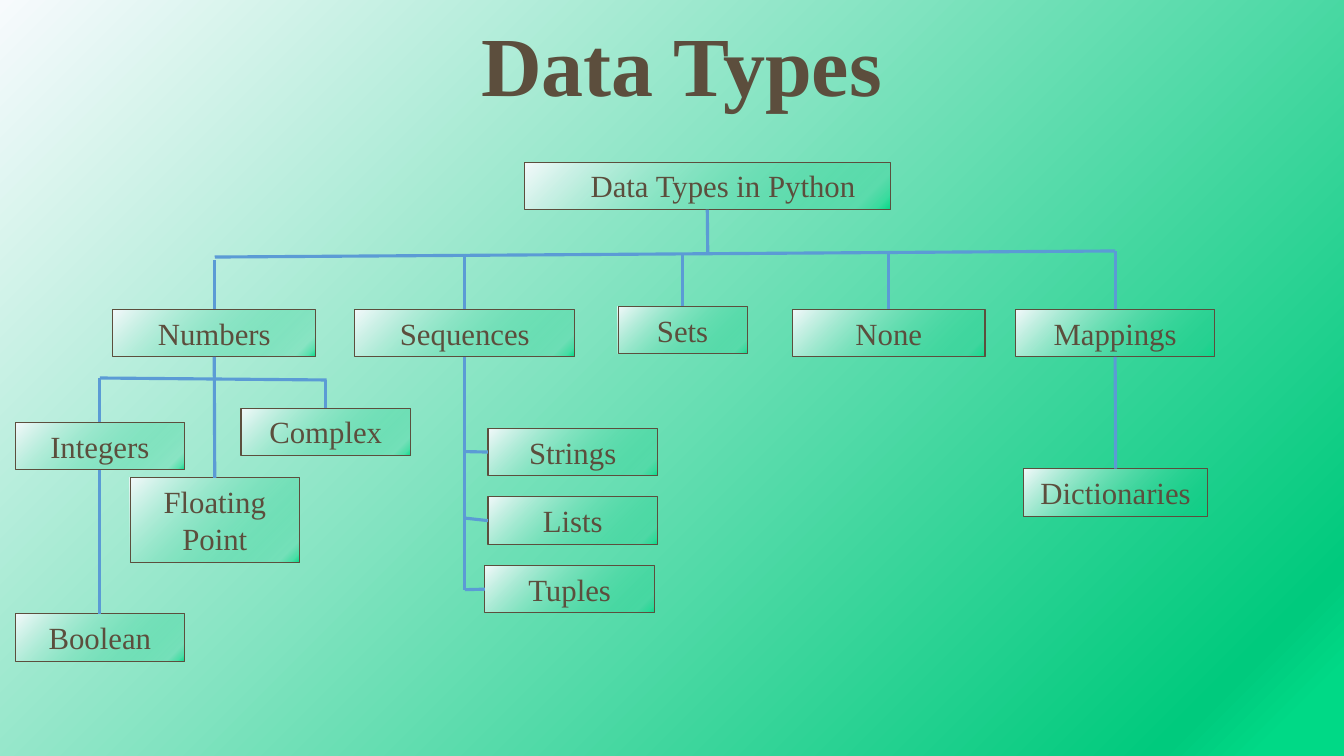
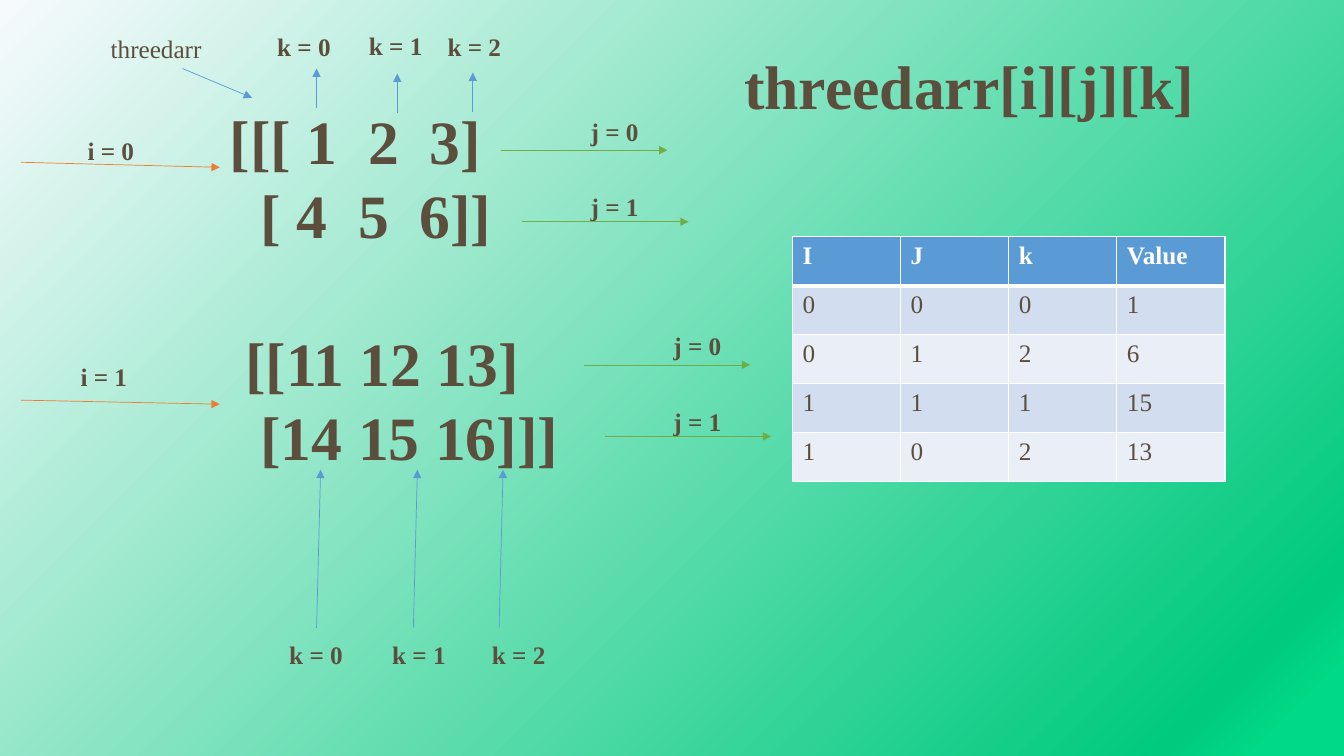
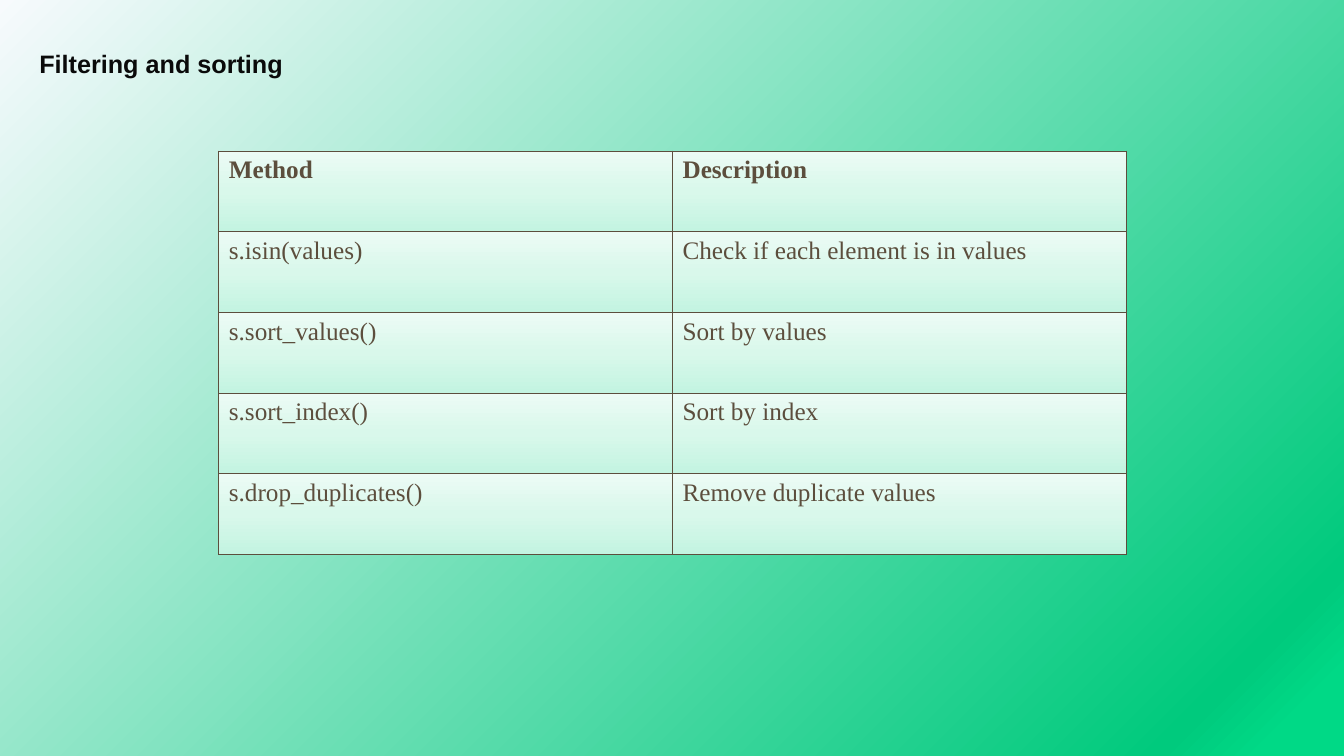
from lxml import etree
from pptx import Presentation
from pptx import util as u
from pptx.dml.color import RGBColor
from pptx.enum import shapes, text
from pptx.oxml import ns

BROWN = RGBColor(0x5C, 0x4E, 0x3D)
INK = RGBColor(0x0A, 0x0A, 0x0A)
WHITE = RGBColor(0xFF, 0xFF, 0xFF)
BLUE = RGBColor(0x5B, 0x9B, 0xD5)
ORANGE = RGBColor(0xED, 0x7D, 0x31)
GREEN = RGBColor(0x70, 0xAD, 0x47)
BAND_DARK = RGBColor(0xD2, 0xDE, 0xEF)
BAND_LIGHT = RGBColor(0xEA, 0xEF, 0xF7)
PALE = RGBColor(0xF7, 0xFA, 0xFD)
EMERALD = RGBColor(0x00, 0xCA, 0x7D)
MINT = RGBColor(0x00, 0xD9, 0x86)
CELL_LOW = RGBColor(0xC3, 0xF4, 0xE1)
CELL_MID = RGBColor(0xD9, 0xF8, 0xEB)
CELL_HIGH = RGBColor(0xEC, 0xFB, 0xF5)

MEADOW = (315, [(0, PALE, 100), (91, EMERALD, 16), (96, MINT, 45), (100, MINT, 100)])
CELL_FADE = (90, [(0, CELL_LOW, 100), (50, CELL_MID, 100), (100, CELL_HIGH, 100)])

SERIF = "Times New Roman"
SANS = "Arial"
LEFT, CENTER = text.PP_ALIGN.LEFT, text.PP_ALIGN.CENTER
TOP, LEFT_SIDE, BOTTOM = 0, 1, 2


def child(parent, tag, **attributes):
    return etree.SubElement(parent, ns.qn(tag), **attributes)


def write(frame, content, size=18, color=BROWN, bold=False, font=SERIF, align=LEFT, spacing=None):
    for index, line in enumerate(content.split("\n")):
        paragraph = frame.paragraphs[0] if index == 0 else frame.add_paragraph()
        paragraph.alignment = align
        if spacing:
            paragraph.line_spacing = spacing
        run = paragraph.add_run()
        run.text = line
        run.font.size = u.Pt(size)
        run.font.name = font
        run.font.bold = bold
        run.font.color.rgb = color


def paint(fill, owner, look):
    if isinstance(look, RGBColor):
        fill.solid()
        fill.fore_color.rgb = look
        return
    angle, stops = look
    fill.gradient()
    fill.gradient_angle = angle
    stop_list = next(owner.iter(ns.qn("a:gsLst")))
    for old in list(stop_list):
        stop_list.remove(old)
    for position, color, alpha in stops:
        stop = child(stop_list, "a:gs", pos=str(position * 1000))
        tint = child(stop, "a:srgbClr", val=str(color))
        if alpha < 100:
            child(tint, "a:alpha", val=str(alpha * 1000))


def set_borders(cell, color, widths):
    properties = cell._tc.get_or_add_tcPr()
    for index, (side, width) in enumerate(zip("LRTB", widths)):
        edge = etree.Element(ns.qn("a:ln" + side), w=str(u.Pt(width)))
        child(child(edge, "a:solidFill"), "a:srgbClr", val=str(color))
        properties.insert(index, edge)


class Deck:
    def __init__(self):
        self.prs = Presentation()
        self.prs.slide_width = u.Inches(13.33)
        self.prs.slide_height = u.Inches(7.5)
        master = self.prs.slide_master
        paint(master.background.fill, master.element, MEADOW)
        self.slide = None

    def title(self, content, box, anchor=text.MSO_ANCHOR.TOP, wrap=True, **style):
        self.slide = self.prs.slides.add_slide(self.prs.slide_layouts[5])
        heading = self.slide.shapes.title
        heading.left, heading.top, heading.width, heading.height = map(u.Inches, box)
        frame = heading.text_frame
        frame.auto_size = text.MSO_AUTO_SIZE.NONE
        frame.word_wrap = wrap
        frame.vertical_anchor = anchor
        write(frame, content, bold=True, **style)

    def label(self, content, left, top, width=0.79, height=0.4, **style):
        box = self.slide.shapes.add_textbox(*map(u.Inches, (left, top, width, height)))
        box.text_frame.word_wrap = True
        box.text_frame.auto_size = text.MSO_AUTO_SIZE.SHAPE_TO_FIT_TEXT
        write(box.text_frame, content, **style)
        return box.text_frame

    def node(self, content, left, top, width=1.68, height=0.47, inset=0.1):
        box = self.slide.shapes.add_shape(
            shapes.MSO_SHAPE.RECTANGLE, *map(u.Inches, (left, top, width, height)))
        box.shadow.inherit = False
        paint(box.fill, box.element, MEADOW)
        box.line.color.rgb = BROWN
        box.line.width = u.Pt(0.75)
        frame = box.text_frame
        frame.word_wrap = True
        frame.auto_size = text.MSO_AUTO_SIZE.SHAPE_TO_FIT_TEXT
        frame.vertical_anchor = text.MSO_ANCHOR.TOP
        frame.margin_left = u.Inches(inset)
        write(frame, content, size=22, align=CENTER)
        return box

    def wire(self, start, end, color=BLUE, width=2.25, start_side=None, end_side=None, arrow=False):
        line = self.slide.shapes.add_connector(shapes.MSO_CONNECTOR.STRAIGHT, 0, 0, 0, 0)
        if start_side is None:
            line.begin_x, line.begin_y = map(u.Inches, start)
        else:
            line.begin_connect(start, start_side)
        if end_side is None:
            line.end_x, line.end_y = map(u.Inches, end)
        else:
            line.end_connect(end, end_side)
        line.line.color.rgb = color
        line.line.width = u.Pt(width)
        properties = line.element.spPr
        if arrow:
            child(properties.find(ns.qn("a:ln")), "a:tailEnd", type="triangle")
        child(properties, "a:effectLst")

    def arrow(self, start, end, color=BLUE):
        self.wire(start, end, color=color, width=0.5, arrow=True)

    def drop(self, top, node):
        center = (node.left + node.width / 2) / u.Inches(1)
        self.wire((center, top), node, end_side=TOP)

    def table(self, rows, box, header, bands, border, header_color=BROWN, header_rule=1):
        grid = self.slide.shapes.add_table(
            len(rows), len(rows[0]), *map(u.Inches, box)).table
        grid.horz_banding = False
        for row, values in enumerate(rows):
            look = header if row == 0 else bands[(row - 1) % len(bands)]
            above = header_rule if row == 1 else 1
            below = header_rule if row == 0 else 1
            for column, value in enumerate(values):
                cell = grid.cell(row, column)
                write(cell.text_frame, value, bold=row == 0,
                      color=header_color if row == 0 else BROWN)
                paint(cell.fill, cell._tc, look)
                set_borders(cell, border, (1, 1, above, below))


def data_types(deck):
    deck.title("Data Types", (1.76, 0.18, 10, 1.01), anchor=text.MSO_ANCHOR.BOTTOM,
               size=60, align=CENTER, spacing=0.9)
    root = deck.node("Data Types in Python", 5.2, 1.61, 3.63, inset=0.41)
    numbers = deck.node("Numbers", 1.12, 3.07, 2.01)
    sequences = deck.node("Sequences", 3.52, 3.07, 2.18)
    sets = deck.node("Sets", 6.13, 3.04, 1.28)
    none = deck.node("None", 7.86, 3.07, 1.91)
    mappings = deck.node("Mappings", 10.07, 3.07, 1.98)
    integers = deck.node("Integers", 0.15, 4.19)
    boolean = deck.node("Boolean", 0.15, 6.09)
    floating = deck.node("Floating Point", 1.29, 4.74, height=0.84)
    complex_numbers = deck.node("Complex", 2.39, 4.05)
    strings = deck.node("Strings", 4.84, 4.25)
    lists = deck.node("Lists", 4.84, 4.93)
    tuples = deck.node("Tuples", 4.81, 5.61)
    dictionaries = deck.node("Dictionaries", 10.15, 4.65, 1.83)

    deck.wire(root, (7.02, 2.51), start_side=BOTTOM)
    deck.wire((2.13, 2.55), (11.06, 2.49))
    deck.wire((0.99, 3.75), (3.24, 3.77))
    for top, node in ((2.58, numbers), (2.52, sequences), (2.52, sets), (2.49, none),
                      (2.49, mappings), (3.75, integers), (3.77, complex_numbers)):
        deck.drop(top, node)
    for parent, kind in ((numbers, floating), (integers, boolean), (mappings, dictionaries)):
        deck.wire(parent, kind, start_side=BOTTOM, end_side=TOP)
    deck.wire(sequences, (4.61, 5.85), start_side=BOTTOM)
    for level, kind in ((4.48, strings), (5.14, lists), (5.85, tuples)):
        deck.wire((4.61, level), kind, end_side=LEFT_SIDE)


def array_indexing(deck):
    deck.title("threedarr[i][j][k]", (7.28, 0.43, 5.33, 0.84), size=44)
    matrix = deck.label("[[[ 1  2  3]\n  [ 4  5  6]]\n [[11 12 13]\n  [14 15 16]]]",
                        2.18, 0.97, 7.64, 3.8, size=44, bold=True)
    matrix.paragraphs[2].space_before = u.Pt(53)
    deck.label("threedarr", 1, 0.28, 2.73)
    deck.arrow((1.81, 0.68), (2.5, 0.97))

    for i, (left, top, start, end) in enumerate(((0.77, 1.29, 1.61, 1.66),
                                                 (0.7, 3.54, 3.97, 4.01))):
        deck.label(f"i = {i}", left, top, bold=True)
        deck.arrow((0.21, start), (2.18, end), ORANGE)

    for right, down in ((0, 0), (0.82, 2.13)):
        for j, (start, level, top) in enumerate(((4.97, 1.49, 1.1), (5.18, 2.2, 1.85))):
            deck.label(f"j = {j}", 5.76 + right, top + down, bold=True)
            deck.arrow((start + right, level + down), (start + right + 1.65, level + down), GREEN)

    for k, (left, top, x, tip) in enumerate(((2.65, 0.26, 3.14, 0.68), (3.56, 0.25, 3.94, 0.73),
                                             (4.34, 0.26, 4.69, 0.72))):
        deck.label(f"k = {k}", left, top, bold=True)
        deck.arrow((x, tip + 0.39), (x, tip))

    for k, (left, x) in enumerate(((2.77, 3.14), (3.79, 4.1), (4.78, 4.95))):
        deck.label(f"k = {k}", left, 6.29, bold=True)
        deck.arrow((x, 6.23), (x + 0.04, 4.66))

    lookups = [("I", "J", "k", "Value"), "0001", "0126", ("1", "1", "1", "15"),
               ("1", "0", "2", "13")]
    deck.table(lookups, (7.86, 2.35, 4.29, 2.43), BLUE, (BAND_DARK, BAND_LIGHT), WHITE,
               header_color=WHITE, header_rule=3)


def filtering(deck):
    deck.title("Filtering and sorting", (0.29, 0.48, 2.64, 0.35), wrap=False,
               color=INK, font=SANS, spacing=u.Pt(18))
    methods = [("Method", "Description"),
               ("s.isin(values)", "Check if each element is in values"),
               ("s.sort_values()", "Sort by values"),
               ("s.sort_index()", "Sort by index"),
               ("s.drop_duplicates()", "Remove duplicate values")]
    deck.table(methods, (2.17, 1.5, 9, 4), CELL_FADE, (CELL_FADE,), BROWN)


def main():
    deck = Deck()
    data_types(deck)
    array_indexing(deck)
    filtering(deck)
    deck.prs.save("out.pptx")


if __name__ == "__main__":
    main()
